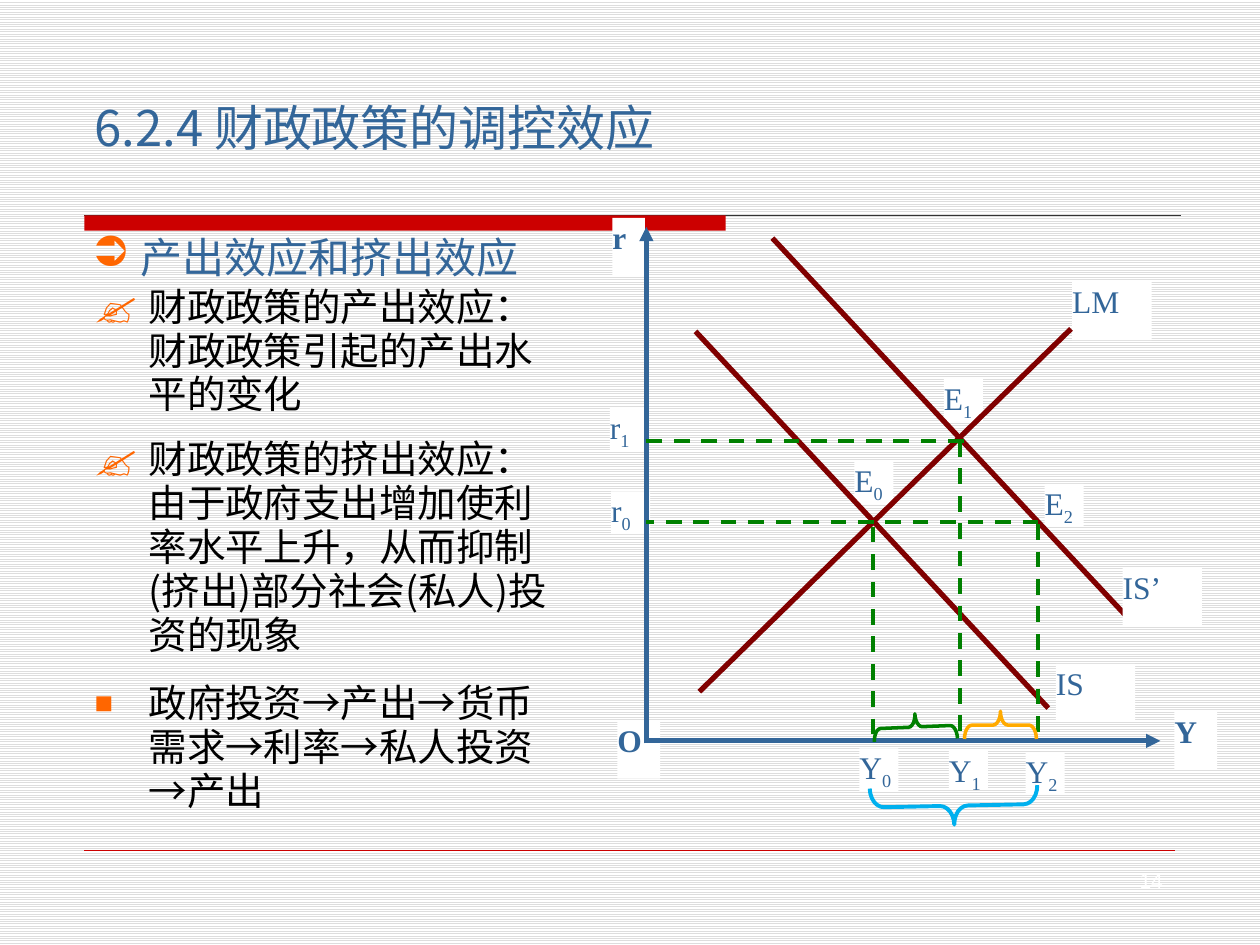
from dataclasses import dataclass

from lxml import etree
from pptx import Presentation
from pptx.dml.color import RGBColor
from pptx.enum.dml import MSO_LINE, MSO_PATTERN
from pptx.enum.shapes import MSO_CONNECTOR, MSO_SHAPE
from pptx.enum.text import MSO_ANCHOR, MSO_AUTO_SIZE, PP_ALIGN
from pptx.oxml.ns import qn
from pptx.util import Inches, Pt

STRAIGHT = MSO_CONNECTOR.STRAIGHT
RECT, LEFT_BRACE, RIGHT_BRACE = MSO_SHAPE.RECTANGLE, MSO_SHAPE.LEFT_BRACE, MSO_SHAPE.RIGHT_BRACE
TOP, MIDDLE = MSO_ANCHOR.TOP, MSO_ANCHOR.MIDDLE
LEFT, RIGHT, JUSTIFY = PP_ALIGN.LEFT, PP_ALIGN.RIGHT, PP_ALIGN.JUSTIFY

BLUE = RGBColor(0x33, 0x66, 0x99)
RED = RGBColor(0xCC, 0x00, 0x00)
MAROON = RGBColor(0x80, 0x00, 0x00)
GREEN = RGBColor(0x00, 0x80, 0x00)
CYAN = RGBColor(0x00, 0xB0, 0xEE)
AMBER = RGBColor(0xFF, 0xAA, 0x00)
GREY = RGBColor(0xDD, 0xDD, 0xDD)
DARK = RGBColor(0x33, 0x33, 0x33)
BLACK = RGBColor(0, 0, 0)
WHITE = RGBColor(0xFF, 0xFF, 0xFF)
BULLET_COLOR = "FF6600"
CJK, SERIF, SANS = "Noto Sans CJK SC", "Times New Roman", "Arial"


@dataclass
class Box:
    """An area in inches, divided into 100 columns and 100 rows."""
    left: float
    top: float
    width: float
    height: float

    def point(self, x, y):
        return Inches(self.left + self.width * x / 100), Inches(self.top + self.height * y / 100)

    def size(self, w, h):
        return Inches(self.width * w / 100), Inches(self.height * h / 100)


def set_frame(tf, anchor=TOP):
    frame = {"margin_left": 0, "margin_right": 0, "margin_top": 0, "margin_bottom": 0,
             "word_wrap": True, "auto_size": MSO_AUTO_SIZE.NONE, "vertical_anchor": anchor}
    for name, value in frame.items():
        setattr(tf, name, value)


def add_run(p, text, size, color, font, bold=False, baseline=None):
    r = p.add_run()
    r.text = text
    for name, value in {"size": Pt(size), "name": font, "bold": bold}.items():
        setattr(r.font, name, value)
    r.font.color.rgb = color
    rPr = r._r.get_or_add_rPr()
    etree.SubElement(rPr, qn("a:ea")).set("typeface", font)
    if baseline:
        rPr.set("baseline", str(baseline))


def set_bullet(p, char=None, percent=100, indent=0):
    pPr = p._p.get_or_add_pPr()
    pPr.set("marL", str(Inches(indent)))
    pPr.set("indent", str(-Inches(indent)))
    if char is None:
        etree.SubElement(pPr, qn("a:buNone"))
        return
    color = etree.SubElement(pPr, qn("a:buClr"))
    etree.SubElement(color, qn("a:srgbClr")).set("val", BULLET_COLOR)
    etree.SubElement(pPr, qn("a:buSzPct")).set("val", str(percent * 1000))
    etree.SubElement(pPr, qn("a:buChar")).set("char", char)


def set_paragraph(p, spacing=1.0, before=0, align=LEFT):
    for name, value in {"line_spacing": spacing, "space_before": Pt(before),
                        "space_after": Pt(0), "alignment": align}.items():
        setattr(p, name, value)


def place(sp, box):
    sp.left, sp.top = box.point(0, 0)
    sp.width, sp.height = box.size(100, 100)


def add_line(s, box, start, end, color, width, dash=False, arrow=False):
    line = s.shapes.add_connector(STRAIGHT, *box.point(*start), *box.point(*end))
    line.line.color.rgb = color
    line.line.width = Pt(width)
    if dash:
        line.line.dash_style = MSO_LINE.DASH
    if arrow:
        etree.SubElement(line.line._get_or_add_ln(), qn("a:tailEnd")).set("type", "triangle")
    etree.SubElement(line._element.spPr, qn("a:effectLst"))


def add_rules(s, box):
    """Heavy bar and thin rule under the title, thin rule at the foot."""
    add_line(s, box, (0, 0), (100, 0), DARK, 0.75)
    bar = s.shapes.add_shape(RECT, *box.point(0, 0), *box.size(58.5, 2.4))
    bar.shadow.inherit = False
    bar.fill.solid()
    bar.fill.fore_color.rgb = RED
    bar.line.fill.background()
    add_line(s, box, (0, 100), (99.5, 100), RED, 0.25)


def add_title(s, box):
    sp = s.shapes.title
    place(sp, box)
    set_frame(sp.text_frame)
    p = sp.text_frame.paragraphs[0]
    set_bullet(p, indent=0.43)
    set_paragraph(p, 1.2)
    add_run(p, "6.2.4 财政政策的调控效应", 28, BLUE, CJK)


def add_heading(s, box):
    tf = s.shapes.add_textbox(*box.point(0, 0), *box.size(100, 100)).text_frame
    set_frame(tf, MIDDLE)
    p = tf.paragraphs[0]
    set_bullet(p, "➲")
    add_run(p, " ", 24, BLUE, SANS)
    add_run(p, "产出效应和挤出效应", 24, BLUE, CJK)


def add_body(s, box):
    items = [
        ("✍", 120, 0, "财政政策的产出效应：财政政策引起的产出水平的变化"),
        ("✍", 120, 12, "财政政策的挤出效应：由于政府支出增加使利率水平上升，"
                       "从而抑制(挤出)部分社会(私人)投资的现象"),
        ("■", 80, 14, "政府投资→产出→货币需求→利率→私人投资→产出"),
    ]
    sp = s.placeholders[1]
    place(sp, box)
    tf = sp.text_frame
    set_frame(tf)
    for i, (char, percent, before, text) in enumerate(items):
        p = tf.add_paragraph() if i else tf.paragraphs[0]
        set_bullet(p, char, percent, 0.43)
        set_paragraph(p, 0.95, before)
        add_run(p, text, 22, BLACK, CJK)


def add_label(s, box, text, sub, x, y, w, h):
    sp = s.shapes.add_shape(RECT, *box.point(x, y), *box.size(w, h))
    sp.shadow.inherit = False
    sp.fill.solid()
    sp.fill.fore_color.rgb = WHITE
    sp.line.fill.background()
    set_frame(sp.text_frame)
    p = sp.text_frame.paragraphs[0]
    set_paragraph(p, align=JUSTIFY)
    add_run(p, text, 18, BLUE, SERIF, bold=text in ("O", "r", "Y") and not sub)
    if sub:
        add_run(p, sub, 18, BLUE, SERIF, baseline=-25000)


def add_is_lm(s, box):
    """IS-LM diagram: labels, axes, curves, guides and braces."""
    x0, y0 = 6.6, 83.6                   # origin
    out0, out1, out2 = 42.6, 56.4, 68.8  # output levels
    rate0, rate1 = 48.8, 36              # interest rates
    small, axis, curve = (6.2, 6.8), (6.8, 9.2), (12.6, 9.2)

    for text, sub, x, y, size in [
        ("E", "2", 69.8, 42.8, small), ("E", "0", 39.6, 39.2, small), ("E", "1", 53.8, 26.2, small),
        ("r", "1", 0.8, 30.8, small), ("r", "0", 1, 44, small),
        ("Y", "0", 40.4, 84.8, small), ("Y", "1", 54.6, 85.2, (6.2, 6)), ("Y", "2", 66.8, 85.4, small),
        ("O", "", 2, 80.4, axis), ("r", "", 1.2, 0.6, (5.2, 9.2)), ("Y", "", 90.4, 79, axis),
        ("IS", "", 71.6, 71.4, curve), ("LM", "", 74.2, 10.8, curve),
    ]:
        add_label(s, box, text, sub, x, y, *size)

    # Axes
    for start, end in [((x0, y0), (88.2, y0)), ((x0, y0 + 0.4), (x0, 2))]:
        add_line(s, box, start, end, BLUE, 2.75, arrow=True)

    # IS, LM and the shifted IS'
    dx, dy = 12.2, -14.8
    for x1, y1, x2, y2 in [(14.4, 18.6, 70.4, 78.4), (15, 75.8, 74, 18.2),
                           (14.4 + dx, 18.6 + dy, 70.4 + dx, 78.4 + dy)]:
        add_line(s, box, (x1, y1), (x2, y2), MAROON, 3)
    add_label(s, box, "IS’", "", 82.2, 56.2, *curve)

    # Dashed guides
    for start, end in [((out1, rate1), (out1, 82.4)), ((out2, rate0), (x0, rate0)),
                       ((out1 + 0.6, rate1), (x0, rate1)),
                       ((out0, 49.6), (out0, 83.2)), ((out2, 49.2), (out2, 82.8))]:
        add_line(s, box, start, end, GREEN, 2.25, dash=True)

    # Braces
    for kind, x, y, w, h, turn, bend, color, width in [
        (LEFT_BRACE, 47.2, 74.8, 4.2, 13.2, 87.6, 0.26, GREEN, 2),
        (RIGHT_BRACE, 52.4, 80.6, 6, 26.6, 88.8, 0.37, CYAN, 2.25),
        (LEFT_BRACE, 60.6, 75.4, 4.4, 11.4, 90, 0.27, AMBER, 2),
    ]:
        sp = s.shapes.add_shape(kind, *box.point(x, y), *box.size(w, h))
        sp.shadow.inherit = False
        sp.rotation = turn
        sp.adjustments[0] = bend
        sp.fill.background()
        sp.line.color.rgb = color
        sp.line.width = Pt(width)


def add_page_number(s, box):
    tf = s.shapes.add_textbox(*box.point(0, 0), *box.size(100, 100)).text_frame
    set_frame(tf, MIDDLE)
    set_paragraph(tf.paragraphs[0], align=RIGHT)
    add_run(tf.paragraphs[0], "14", 12, WHITE, SANS)


def main():
    prs = Presentation()
    prs.slide_width, prs.slide_height = Inches(10), Inches(7.5)
    s = prs.slides.add_slide(prs.slide_layouts[1])
    fill = s.background.fill
    fill.patterned()
    fill.pattern = MSO_PATTERN.LIGHT_HORIZONTAL
    fill.fore_color.rgb = GREY
    fill.back_color.rgb = WHITE

    add_rules(s, Box(0.67, 1.71, 8.7, 5.04))
    add_title(s, Box(0.75, 0.68, 5.14, 0.56))
    add_heading(s, Box(0.73, 1.84, 4.17, 0.4))
    add_body(s, Box(0.75, 2.27, 3.62, 4.31))
    add_is_lm(s, Box(4.8, 1.7, 5, 5))
    add_page_number(s, Box(8.4, 6.86, 0.83, 0.25))
    prs.save("out.pptx")


if __name__ == "__main__":
    main()
